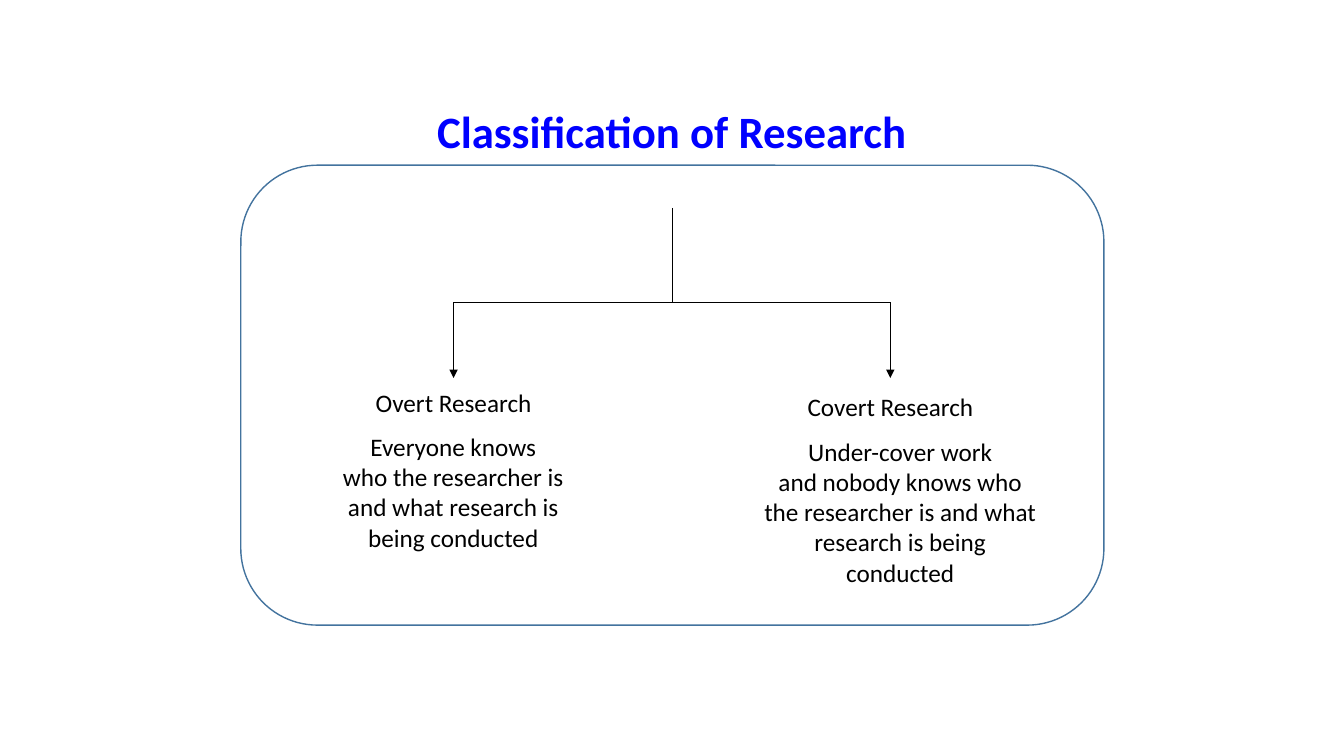
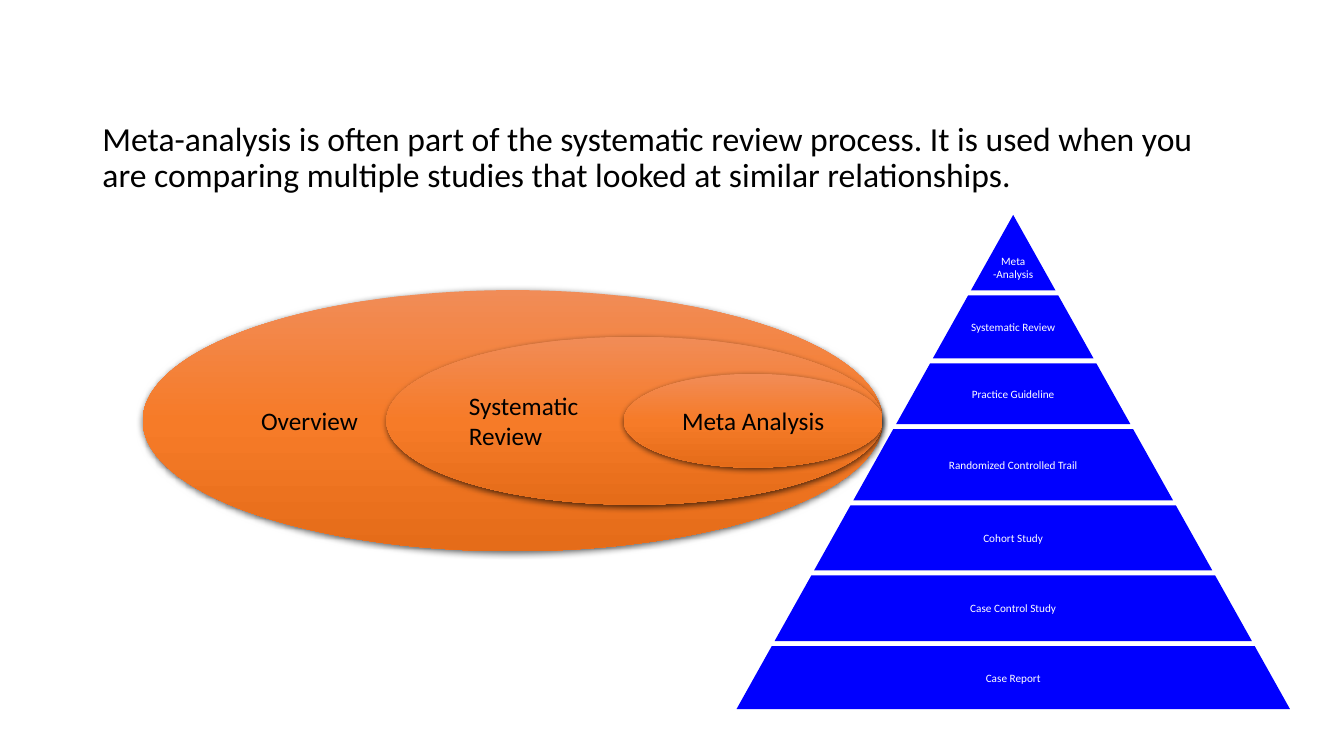
import lxml.etree
import pptx
import pptx.dml.color
import pptx.enum.shapes
import pptx.enum.text
import pptx.oxml.ns
import pptx.util

Pt = pptx.util.Pt
RGBColor = pptx.dml.color.RGBColor
Align = pptx.enum.text.PP_ALIGN
Anchor = pptx.enum.text.MSO_ANCHOR
Shape = pptx.enum.shapes.MSO_SHAPE
qn = pptx.oxml.ns.qn

BLACK = RGBColor(0x00, 0x00, 0x00)
WHITE = RGBColor(0xFF, 0xFF, 0xFF)
BLUE = RGBColor(0x00, 0x00, 0xFF)
FRAME_BLUE = RGBColor(0x43, 0x73, 0x9E)
ORANGES = [
    (0, RGBColor(0xF1, 0x8C, 0x57)),
    (50, RGBColor(0xF6, 0x7B, 0x28)),
    (100, RGBColor(0xE5, 0x6C, 0x19)),
]

TITLE_ONLY, TITLE_AND_CONTENT = 5, 1


def add_element(parent, tag, **attributes):
    return lxml.etree.SubElement(parent, qn(tag), attributes)


def add_color(parent, color):
    return add_element(parent, "a:srgbClr", val=str(color))


class Deck:
    """Holds the shared style and the slide being built."""

    font_name = "Calibri"
    margin_left = 66
    text_width = 828

    def __init__(self):
        self.presentation = pptx.Presentation()
        self.presentation.slide_width = Pt(960)
        self.presentation.slide_height = Pt(540)
        self.slide = None

    def new_slide(self, layout):
        layouts = self.presentation.slide_layouts
        self.slide = self.presentation.slides.add_slide(layouts[layout])

    def place(self, shape, left, top, width, height):
        shape.left, shape.top = Pt(left), Pt(top)
        shape.width, shape.height = Pt(width), Pt(height)

    def set_text(self, shape, lines, size, color=BLACK, align=Align.CENTER,
                 anchor=Anchor.MIDDLE, bold=False, line_spacing=1.0):
        frame = shape.text_frame
        frame.text = "\n".join(lines)
        frame.word_wrap = True
        frame.auto_size = pptx.enum.text.MSO_AUTO_SIZE.NONE
        frame.vertical_anchor = anchor
        for paragraph in frame.paragraphs:
            paragraph.alignment = align
            paragraph.line_spacing = line_spacing
            paragraph.space_before = Pt(0)
            paragraph.font.name = self.font_name
            paragraph.font.size = Pt(size)
            paragraph.font.bold = bold
            paragraph.font.color.rgb = color

    def title(self, text, top, height):
        shape = self.slide.shapes.title
        self.place(shape, self.margin_left, top, self.text_width, height)
        self.set_text(shape, [text], 32, BLUE, bold=True, line_spacing=0.9)

    def body(self, text, top, height):
        title = self.slide.shapes.title.element
        title.getparent().remove(title)
        shape = self.slide.placeholders[1]
        self.place(shape, self.margin_left, top, self.text_width, height)
        self.set_text(shape, [text], 24, align=Align.LEFT, anchor=Anchor.TOP,
                      line_spacing=0.9)
        # No bullet and no hanging indent
        properties = shape.text_frame.paragraphs[0]._p.get_or_add_pPr()
        properties.set("marL", "0")
        properties.set("indent", "0")
        bullet = lxml.etree.Element(qn("a:buNone"))
        properties.find(qn("a:defRPr")).addprevious(bullet)

    def shape(self, kind, left, top, width, height):
        shape = self.slide.shapes.add_shape(
            kind, Pt(left), Pt(top), Pt(width), Pt(height))
        shape.shadow.inherit = False
        shape.line.fill.background()
        return shape

    def frame(self, left, top, width, height):
        shape = self.shape(Shape.ROUNDED_RECTANGLE, left, top, width, height)
        shape.fill.background()
        shape.line.color.rgb = FRAME_BLUE
        shape.line.width = Pt(1)

    def box(self, lines, left, top, width, height, anchor=Anchor.MIDDLE):
        shape = self.shape(Shape.RECTANGLE, left, top, width, height)
        shape.fill.solid()
        shape.fill.fore_color.rgb = WHITE
        shape.text_frame.margin_top = shape.text_frame.margin_bottom = 0
        self.set_text(shape, lines, 18, anchor=anchor)

    def line(self, start, end, arrow=False):
        connector = self.slide.shapes.add_connector(
            pptx.enum.shapes.MSO_CONNECTOR.STRAIGHT,
            *(Pt(value) for value in (*start, *end)))
        connector.line.color.rgb = BLACK
        connector.line.width = Pt(0.5)
        properties = connector.element.spPr
        if arrow:
            add_element(properties.find(qn("a:ln")), "a:tailEnd",
                        type="triangle")
        add_element(properties, "a:effectLst")

    def ellipse(self, lines, left, top, width, height, align):
        shape = self.shape(Shape.OVAL, left, top, width, height)
        shape.fill.gradient()
        shape.fill.gradient_angle = 270
        properties = shape.element.spPr
        stops = properties.find(qn("a:gradFill")).find(qn("a:gsLst"))
        for stop in list(stops):
            stops.remove(stop)
        for percent, color in ORANGES:
            add_color(add_element(stops, "a:gs", pos=str(percent * 1000)),
                      color)
        # Soft shadow straight below
        shadow = add_element(
            properties.find(qn("a:effectLst")), "a:outerShdw",
            blurRad=str(Pt(4.5)), dist=str(Pt(1.5)), dir="5400000",
            algn="ctr", rotWithShape="0")
        add_element(add_color(shadow, BLACK), "a:alpha", val="63000")
        self.set_text(shape, lines, 18, align=align)

    def pyramid(self, levels, center, apex, slope, gap):
        top = apex
        for index, (text, height) in enumerate(levels):
            bottom = top + height
            upper, lower = slope * (top - apex), slope * (bottom - apex)
            corners = [(center + upper, top), (center + lower, bottom),
                       (center - lower, bottom)]
            if index:
                corners.append((center - upper, top))
            points = [(Pt(x), Pt(y)) for x, y in corners]
            builder = self.slide.shapes.build_freeform(*points[0])
            builder.add_line_segments(points[1:], close=True)
            shape = builder.convert_to_shape()
            shape.shadow.inherit = False
            shape.fill.solid()
            shape.fill.fore_color.rgb = BLUE
            shape.line.fill.background()
            shape.text_frame.margin_bottom = Pt(3.6 if index else 7)
            self.set_text(shape, [text], 8, WHITE,
                          anchor=Anchor.MIDDLE if index else Anchor.BOTTOM)
            top = bottom + gap


def build_classification(deck):
    deck.new_slide(TITLE_ONLY)
    deck.title("Classification of Research", 73, 46)
    deck.frame(172, 118, 616.5, 328.5)

    # Tree: one trunk, two branches
    center, fork, tip = 480, 216, 270
    deck.line((center, 148.5), (center, fork))
    for branch in (324, 636):
        deck.line((center, fork), (branch, fork))
        deck.line((branch, fork), (branch, tip), arrow=True)

    # Labels and explanations
    deck.box(["Overt Research"], 253, 270, 142, 34.5)
    deck.box(["Covert Research"], 565, 273, 142, 34.5)
    deck.box(["Everyone knows",
              "who the researcher is and what research is being conducted"],
             237, 308, 173.5, 102, Anchor.TOP)
    deck.box(["Under-cover work",
              "and nobody knows who the researcher is and what research is "
              "being conducted"],
             536, 311.5, 214, 125, Anchor.TOP)


def build_meta_analysis(deck):
    deck.new_slide(TITLE_AND_CONTENT)
    deck.body("Meta-analysis is often part of the systematic review process. "
              "It is used when you are comparing multiple studies that looked "
              "at similar relationships.", 83.5, 456.5)

    # Pyramid of evidence: label and height of each level
    levels = [
        ("Meta -Analysis", 54),
        ("Systematic Review", 45),
        ("Practice Guideline", 43.5),
        ("Randomized Controlled Trail", 51),
        ("Cohort Study", 46.5),
        ("Case Control Study", 47),
        ("Case Report", 45),
    ]
    deck.pyramid(levels, center=723.75, apex=153.5, slope=0.56, gap=3.5)

    # Nested ellipses that share a right edge and a middle line
    right, middle = 630.5, 300.5
    ellipses = [
        (["Overview"], 528.5, 186.5, Align.LEFT),
        (["Systematic", "Review"], 354.5, 120, Align.LEFT),
        (["Meta Analysis"], 185, 67, Align.CENTER),
    ]
    for lines, width, height, align in ellipses:
        deck.ellipse(lines, right - width, middle - height / 2, width, height,
                     align)


def main():
    deck = Deck()
    build_classification(deck)
    build_meta_analysis(deck)
    deck.presentation.save("out.pptx")


if __name__ == "__main__":
    main()
